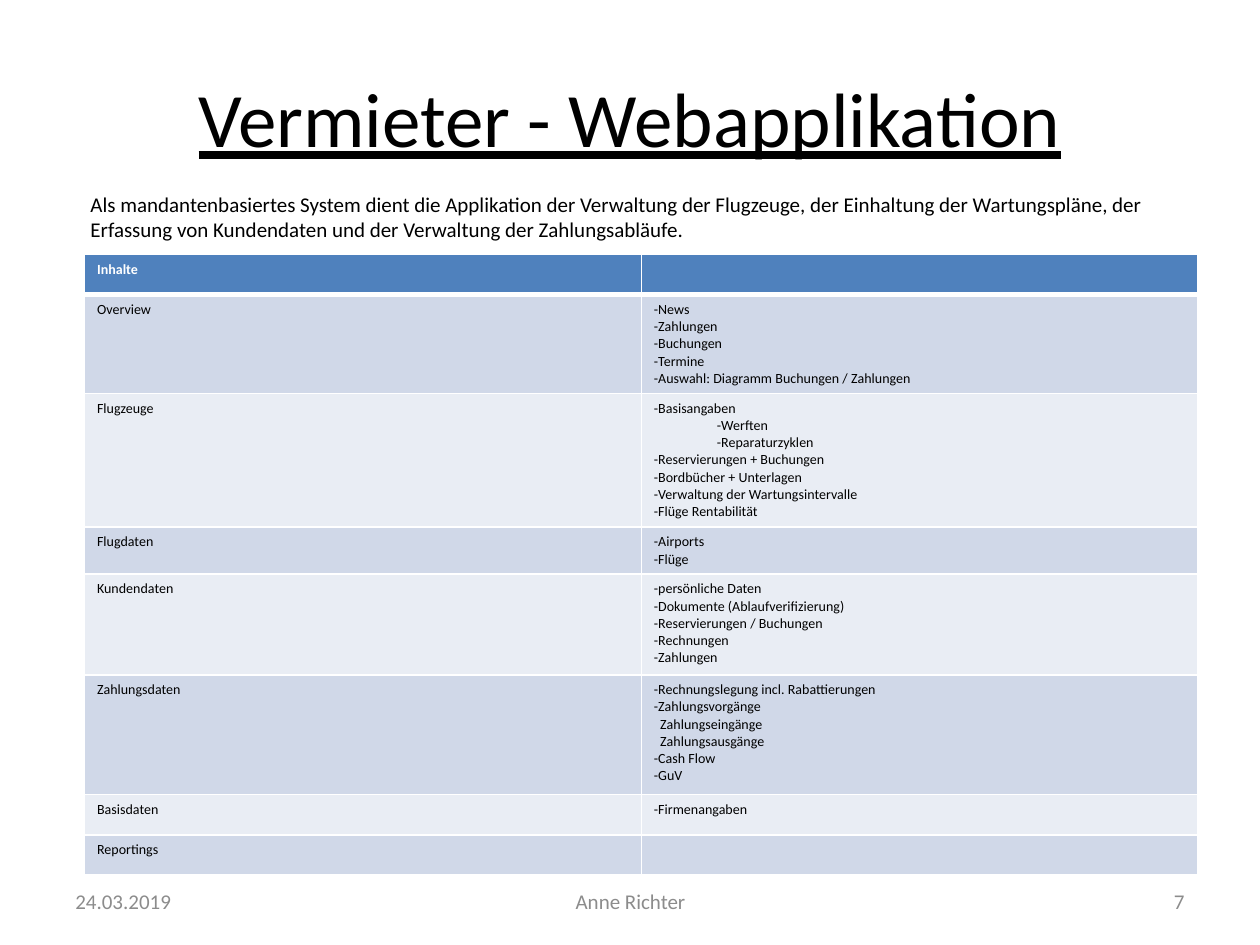
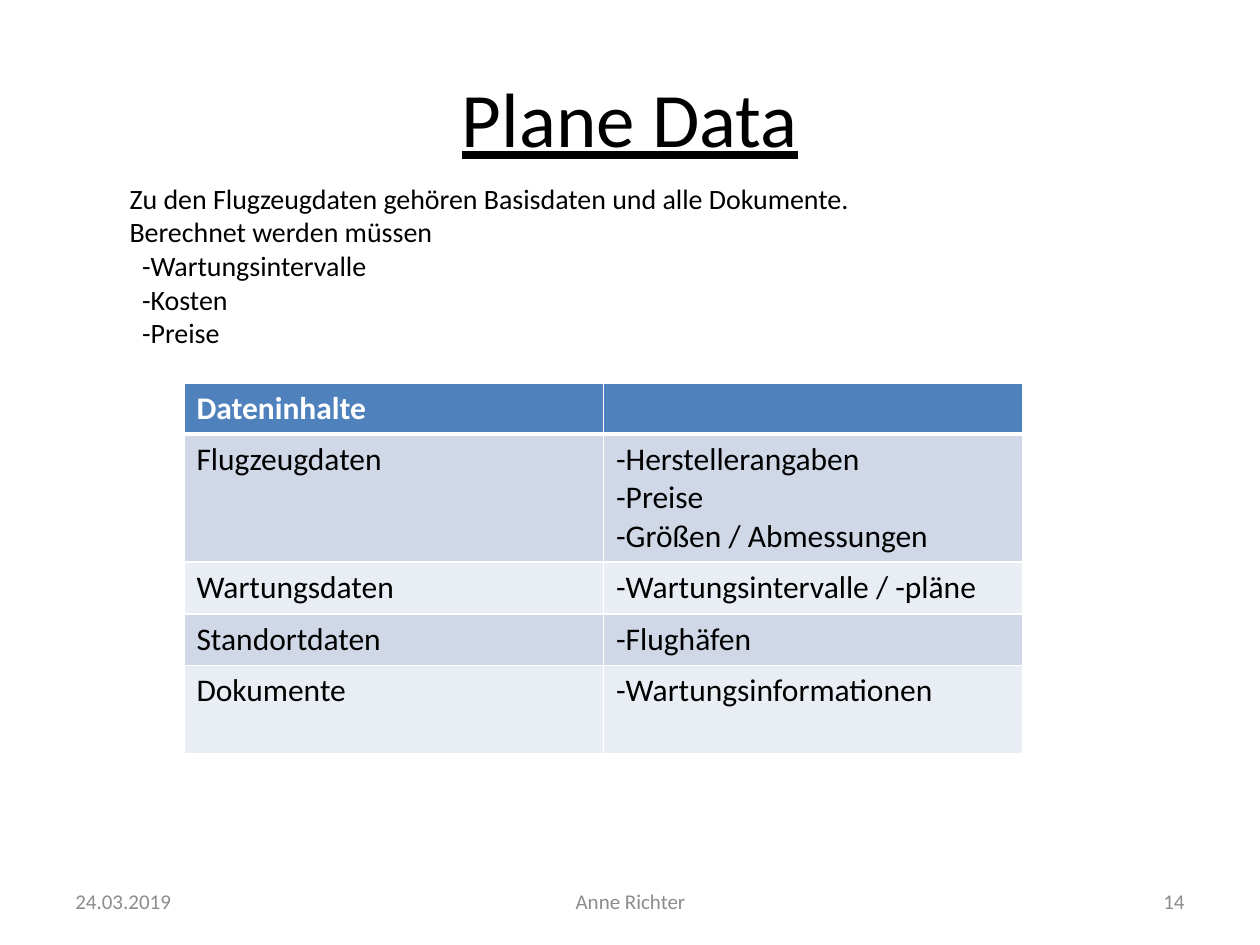
from dataclasses import dataclass

from lxml import etree
from pptx import Presentation
from pptx.dml.color import RGBColor
from pptx.enum.text import MSO_ANCHOR, PP_ALIGN
from pptx.oxml.ns import qn
from pptx.util import Inches, Pt

LEFT, CENTER, RIGHT = PP_ALIGN.LEFT, PP_ALIGN.CENTER, PP_ALIGN.RIGHT
TOP, MIDDLE = MSO_ANCHOR.TOP, MSO_ANCHOR.MIDDLE
TITLE_ONLY = 5


@dataclass(frozen=True)
class Theme:
    font: str = "Calibri"
    text: str = "000000"
    muted: str = "8C8C8C"
    white: str = "FFFFFF"
    header: str = "4F81BD"
    bands: tuple = ("D0D8E8", "E9EDF4")
    title_size: int = 44
    footer_size: int = 12
    grid: int = 1
    header_rule: int = 3


THEME = Theme()
DATE, AUTHOR = "24.03.2019", "Anne Richter"

RENTAL = {
    "title": "Vermieter - Webapplikation",
    "number": "7",
    "intro": [("Als mandantenbasiertes System dient die Applikation der Verwaltung "
               "der Flugzeuge, der Einhaltung der Wartungspläne, der Erfassung von "
               "Kundendaten und der Verwaltung der Zahlungsabläufe.", 0.5)],
    "intro_box": (0.12, 1.47, 9.53, 0.5),
    "intro_size": 12,
    "table_at": (0.67, 2.02),
    "column_width": 4.42,
    "row_heights": (0.32, 0.78, 1.06, 0.37, 0.8, 0.95, 0.32, 0.32),
    "table_size": 8,
    "rows": [
        ("Inhalte", []),
        ("Overview", ["-News", "-Zahlungen", "-Buchungen", "-Termine",
                      "-Auswahl: Diagramm Buchungen / Zahlungen"]),
        ("Flugzeuge", ["-Basisangaben", ("-Werften", 0.5), ("-Reparaturzyklen", 0.5),
                       "-Reservierungen + Buchungen", "-Bordbücher + Unterlagen",
                       "-Verwaltung der Wartungsintervalle", "-Flüge Rentabilität"]),
        ("Flugdaten", ["-Airports", "-Flüge"]),
        ("Kundendaten", ["-persönliche Daten", "-Dokumente (Ablaufverifizierung)",
                         "-Reservierungen / Buchungen", "-Rechnungen", "-Zahlungen"]),
        ("Zahlungsdaten", ["-Rechnungslegung incl. Rabattierungen", "-Zahlungsvorgänge",
                           ("Zahlungseingänge", 0.05), ("Zahlungsausgänge", 0.05),
                           "-Cash Flow", "-GuV"]),
        ("Basisdaten", ["-Firmenangaben"]),
        ("Reportings", []),
    ],
}

PLANE = {
    "title": "Plane Data",
    "number": "14",
    "intro": [("Zu den Flugzeugdaten gehören Basisdaten und alle Dokumente.", 0.5),
              ("Berechnet werden müssen", 0.5),
              ("-Wartungsintervalle", 0.6), ("-Kosten", 0.6), ("-Preise", 0.6)],
    "intro_box": (0.43, 1.39, 9.37, 1.45),
    "intro_size": 16,
    "table_at": (1.46, 3.04),
    "column_width": 3.33,
    "row_heights": (0.4, 1.01, 0.41, 0.41, 0.7),
    "table_size": 18,
    "rows": [
        ("Dateninhalte", []),
        ("Flugzeugdaten", ["-Herstellerangaben", "-Preise", "-Größen / Abmessungen"]),
        ("Wartungsdaten", ["-Wartungsintervalle / -pläne"]),
        ("Standortdaten", ["-Flughäfen"]),
        ("Dokumente", ["-Wartungsinformationen"]),
    ],
}


def style_font(font, size, color=THEME.text, **extras):
    for name, value in {"name": THEME.font, "size": Pt(size), **extras}.items():
        setattr(font, name, value)
    font.color.rgb = RGBColor.from_string(color)


def write_lines(frame, lines, size, color=THEME.text, align=LEFT, **extras):
    """Fill a frame; a line is a string or a (string, indent in inches) pair."""
    for index, line in enumerate(lines):
        text, indent = (line, 0) if isinstance(line, str) else line
        paragraph = frame.paragraphs[0] if index == 0 else frame.add_paragraph()
        paragraph.alignment = align
        if indent:
            properties = paragraph._p.get_or_add_pPr()
            properties.set("marL", str(Inches(indent)))
            properties.set("indent", "0")
        run = paragraph.add_run()
        run.text = text
        style_font(run.font, size, color, **extras)
    if not lines:
        # Keeps an empty cell from growing to the default type size.
        end = etree.SubElement(frame.paragraphs[0]._p, qn("a:endParaRPr"))
        end.set("sz", str(size * 100))


def add_text(slide, box, lines, size, anchor=TOP, **style):
    frame = slide.shapes.add_textbox(*map(Inches, box)).text_frame
    frame.word_wrap = True
    frame.vertical_anchor = anchor
    write_lines(frame, lines, size, **style)


def set_title(slide, text):
    title = slide.shapes.title
    placement = dict(left=0.5, top=0.3, width=9, height=1.25)
    for side, inches in placement.items():
        setattr(title, side, Inches(inches))
    title.text_frame.vertical_anchor = MIDDLE
    write_lines(title.text_frame, [text], THEME.title_size, align=CENTER, underline=True)


def add_footer(slide, number):
    parts = [(DATE, 0.5, 2.33, LEFT), (AUTHOR, 3.42, 3.17, CENTER),
             (number, 7.17, 2.33, RIGHT)]
    for text, left, width, align in parts:
        add_text(slide, (left, 6.95, width, 0.4), [text], THEME.footer_size,
                 anchor=MIDDLE, color=THEME.muted, align=align)


def set_borders(cell, top, bottom):
    properties = cell._tc.get_or_add_tcPr()
    widths = {"lnL": THEME.grid, "lnR": THEME.grid, "lnT": top, "lnB": bottom}
    for side, width in widths.items():
        line = etree.SubElement(properties, qn(f"a:{side}"), w=str(Pt(width)))
        fill = etree.SubElement(line, qn("a:solidFill"))
        etree.SubElement(fill, qn("a:srgbClr"), val=THEME.white)


def add_content_table(slide, content):
    rows, heights = content["rows"], content["row_heights"]
    width = content["column_width"]
    left, top = content["table_at"]
    table = slide.shapes.add_table(
        len(rows), 2, Inches(left), Inches(top),
        Inches(2 * width), Inches(sum(heights))).table
    table.horz_banding = False
    for column in table.columns:
        column.width = Inches(width)
    for index, (topic, details) in enumerate(rows):
        table.rows[index].height = Inches(heights[index])
        is_header = index == 0
        fill = THEME.header if is_header else THEME.bands[(index - 1) % 2]
        color = THEME.white if is_header else THEME.text
        upper = THEME.header_rule if index == 1 else THEME.grid
        lower = THEME.header_rule if is_header else THEME.grid
        for cell, lines in zip(table.rows[index].cells, ([topic], details)):
            set_borders(cell, upper, lower)
            cell.fill.solid()
            cell.fill.fore_color.rgb = RGBColor.from_string(fill)
            write_lines(cell.text_frame, lines, content["table_size"], color,
                        bold=is_header)


def add_content_slide(presentation, content):
    slide = presentation.slides.add_slide(presentation.slide_layouts[TITLE_ONLY])
    set_title(slide, content["title"])
    add_content_table(slide, content)
    add_text(slide, content["intro_box"], content["intro"], content["intro_size"])
    add_footer(slide, content["number"])


def main():
    presentation = Presentation()
    presentation.slide_width, presentation.slide_height = Inches(10), Inches(7.5)
    for content in (RENTAL, PLANE):
        add_content_slide(presentation, content)
    presentation.save("out.pptx")


if __name__ == "__main__":
    main()
